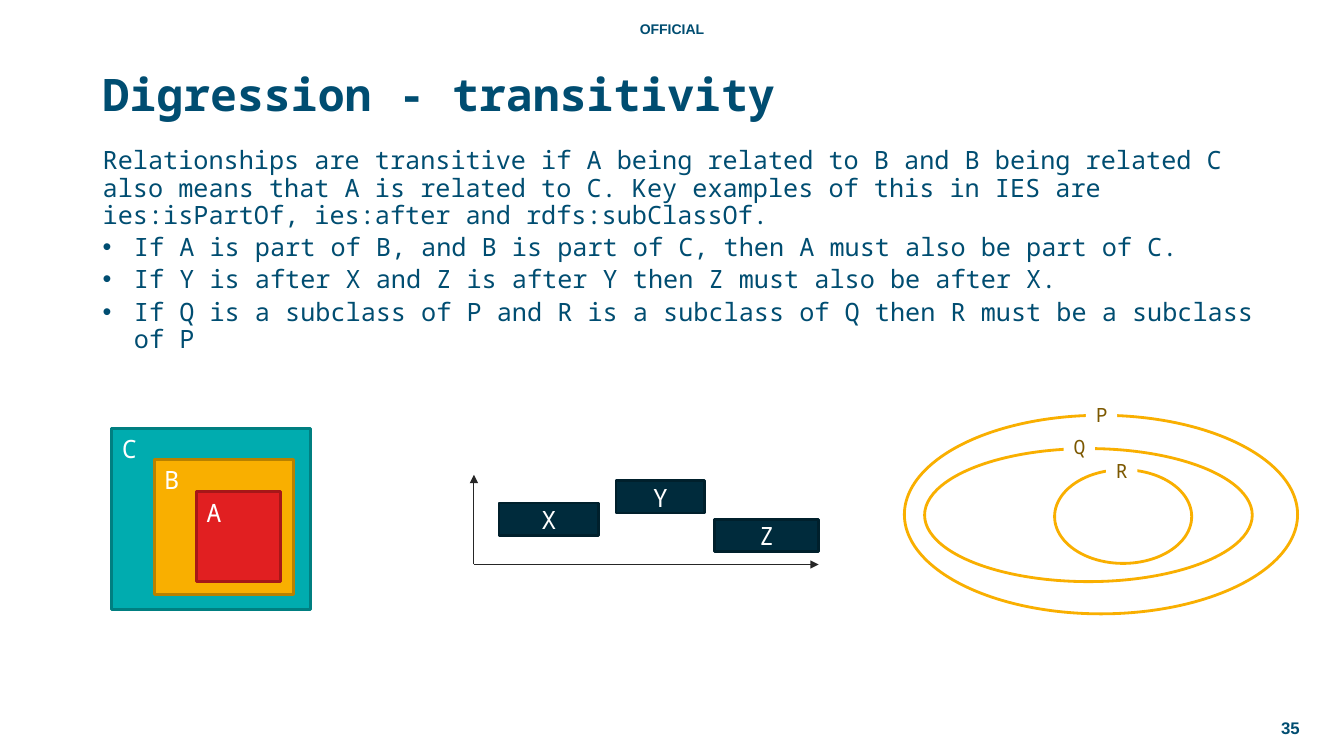
from lxml import etree
from pptx import Presentation
from pptx.dml.color import RGBColor
from pptx.enum.shapes import MSO_CONNECTOR, MSO_SHAPE
from pptx.enum.text import MSO_ANCHOR, PP_ALIGN
from pptx.oxml.ns import qn
from pptx.util import Inches, Pt

RECT, OVAL = MSO_SHAPE.RECTANGLE, MSO_SHAPE.OVAL
LINE = MSO_CONNECTOR.STRAIGHT
LEFT, MID, RIGHT = PP_ALIGN.LEFT, PP_ALIGN.CENTER, PP_ALIGN.RIGHT
TOP, CENTER = MSO_ANCHOR.TOP, MSO_ANCHOR.MIDDLE

MONO, SANS = "Noto Sans Mono", "Arial"
BLUE, WHITE, NAVY, EDGE = "004D71", "FFFFFF", "002B3C", "00202C"
GOLD, BROWN, INK = "F9AF00", "7C5800", "262626"

INTRO = ("Relationships are transitive if A being related to B and B being "
         "related C also means that A is related to C. Key examples of this "
         "in IES are ies:isPartOf, ies:after and rdfs:subClassOf.")
RULES = [
    "If A is part of B, and B is part of C, then A must also be part of C.",
    "If Y is after X and Z is after Y then Z must also be after X.",
    "If Q is a subclass of P and R is a subclass of Q then R must be a "
    "subclass of P",
]

# Letter, box, fill, edge
PARTS = [
    ("C", (1.11, 4.25, 1.97, 1.8), "00ACAF", "007F81"),
    ("B", (1.53, 4.56, 1.38, 1.34), GOLD, "B88100"),
    ("A", (1.95, 4.88, 0.83, 0.89), "E11F21", "A61718"),
]
# Letter, left, top, width
EVENTS = [("X", 4.95, 4.99, 0.99), ("Y", 6.11, 4.77, 0.88),
          ("Z", 7.09, 5.15, 1.03)]
# Letter, oval box, left and top of label
SETS = [
    ("P", (8.97, 4.12, 3.9, 1.97), (10.77, 3.95)),
    ("Q", (9.17, 4.45, 3.25, 1.32), (10.55, 4.27)),
    ("R", (10.46, 4.66, 1.36, 0.93), (10.97, 4.5)),
]


def color(code):
    return RGBColor.from_string(code)


def apply(item, style):
    for name, value in style.items():
        setattr(item, name, value)


def write(para, text, size, tint, face=MONO, bold=False, align=LEFT):
    para.alignment = align
    run = para.add_run()
    run.text = text
    apply(run.font, {"name": face, "size": Pt(size), "bold": bold})
    run.font.color.rgb = color(tint)


def add_text(slide, box, text, size, tint=BLUE, anchor=TOP, wrap=True,
             **style):
    area = slide.shapes.add_textbox(*map(Inches, box))
    apply(area.text_frame, {"word_wrap": wrap, "vertical_anchor": anchor})
    write(area.text_frame.paragraphs[0], text, size, tint, **style)
    return area


def add_block(slide, kind, box, fill, edge):
    block = slide.shapes.add_shape(kind, *map(Inches, box))
    block.shadow.inherit = False
    block.fill.solid()
    block.fill.fore_color.rgb = color(fill)
    block.line.color.rgb = color(edge)
    block.line.width = Pt(2)
    return block


def add_box(slide, box, text, fill, edge, anchor=TOP, align=LEFT):
    block = add_block(slide, RECT, box, fill, edge)
    block.text_frame.vertical_anchor = anchor
    write(block.text_frame.paragraphs[0], text, 18, WHITE, align=align)


def add_arrow(slide, start, end):
    arrow = slide.shapes.add_connector(LINE, *map(Inches, start + end))
    arrow.line.color.rgb = color(INK)
    arrow.line.width = Pt(0.75)
    etree.SubElement(arrow.line._get_or_add_ln(), qn("a:tailEnd"),
                     type="triangle")
    etree.SubElement(arrow._element.spPr, qn("a:effectLst"))


def add_body(slide):
    frame = add_text(slide, (0.92, 1.42, 11.63, 2.35), INTRO, 18).text_frame
    for rule in RULES:
        para = frame.add_paragraph()
        write(para, rule, 18, BLUE)
        props = para._p.get_or_add_pPr()
        props.set("marL", str(Inches(0.31)))
        props.set("indent", str(-Inches(0.31)))
        etree.SubElement(props, qn("a:buFont"), typeface=SANS)
        etree.SubElement(props, qn("a:buChar"), char="•")
    for para in frame.paragraphs:
        apply(para, {"line_spacing": 0.9, "space_before": Pt(3.6)})


def add_set(slide, name, box, spot):
    add_block(slide, OVAL, box, WHITE, GOLD)
    label = add_text(slide, spot + (0.31, 0.34), name, 14, BROWN, wrap=False)
    label.fill.solid()
    label.fill.fore_color.rgb = color(WHITE)


def main():
    deck = Presentation()
    apply(deck, {"slide_width": Inches(13.33), "slide_height": Inches(7.5)})
    slide = deck.slides.add_slide(deck.slide_layouts[6])

    # Marking, page number, title and body
    add_text(slide, (4.06, 0.15, 5.21, 0.27), "OFFICIAL", 10,
             face=SANS, bold=True, align=MID)
    add_text(slide, (12.37, 7.02, 0.62, 0.4), "35", 12, anchor=CENTER,
             face=SANS, bold=True, align=RIGHT)
    add_text(slide, (0.92, 0.54, 11.63, 0.77), "Digression - transitivity",
             32, anchor=CENTER, bold=True)
    add_body(slide)

    # Nested parts
    for name, box, fill, edge in PARTS:
        add_box(slide, box, name, fill, edge)

    # Events in time
    origin = (4.7, 5.6)
    for end in ((8.12, 5.6), (4.7, 4.71)):
        add_arrow(slide, origin, end)
    for name, left, top, width in EVENTS:
        add_box(slide, (left, top, width, 0.32), name, NAVY, EDGE,
                CENTER, MID)

    # Nested classes
    for name, box, spot in SETS:
        add_set(slide, name, box, spot)

    deck.save("out.pptx")


if __name__ == "__main__":
    main()
